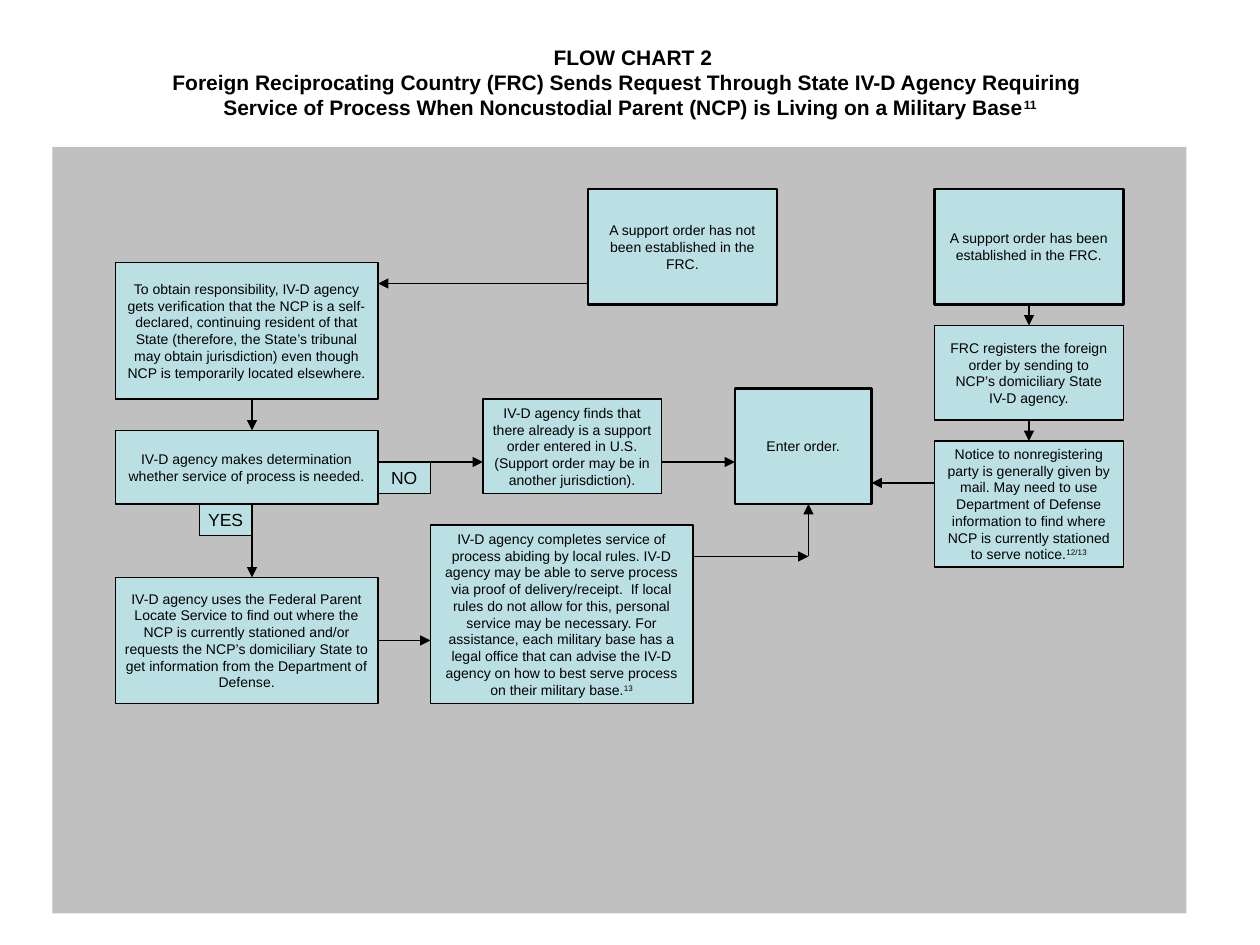
import pptx
import pptx.dml.color
import pptx.enum.shapes
import pptx.enum.text
import pptx.oxml
import pptx.oxml.ns
import pptx.util

RGBColor = pptx.dml.color.RGBColor
BLACK = RGBColor(0x00, 0x00, 0x00)
WHITE = RGBColor(0xFF, 0xFF, 0xFF)
GREY = RGBColor(0xC0, 0xC0, 0xC0)
PALE_TEAL = RGBColor(0xBB, 0xE0, 0xE3)

FONT = "Arial"
EMU_PER_PX = 7620  # 120 px to the inch
THIN, THICK = 0.75, 1.5
TIGHT, NORMAL = 6, 12  # side margins of a box


def px(length):
    return pptx.util.Emu(length * EMU_PER_PX)


def write_text(frame, text, note="", size=8, bold=False, side=NORMAL, wrap=True):
    """Fill a frame with centred text: a newline starts a paragraph, a vertical
    tab breaks the line, and the note follows as superscript."""
    frame.word_wrap = wrap
    frame.vertical_anchor = pptx.enum.text.MSO_ANCHOR.MIDDLE
    frame.margin_left = frame.margin_right = px(side)
    frame.margin_top = frame.margin_bottom = px(6)
    frame.text = text
    if note:
        note_run = frame.paragraphs[-1].add_run()
        note_run.text = note
        note_run._r.get_or_add_rPr().set("baseline", "30000")
    for paragraph in frame.paragraphs:
        paragraph.alignment = pptx.enum.text.PP_ALIGN.CENTER
        for run in paragraph.runs:
            run.font.name = FONT
            run.font.size = pptx.util.Pt(size)
            run.font.bold = bold
            run.font.color.rgb = BLACK


class FlowChart:
    def __init__(self, presentation):
        self.slide = presentation.slides.add_slide(presentation.slide_layouts[5])
        self.slide.background.fill.solid()
        self.slide.background.fill.fore_color.rgb = WHITE

    def title(self, left, top, width, height, text, note):
        title = self.slide.shapes.title
        title.left, title.top = px(left), px(top)
        title.width, title.height = px(width), px(height)
        write_text(title.text_frame, text, note=note, size=12, bold=True)

    def panel(self, left, top, width, height, fill):
        panel = self.slide.shapes.add_shape(
            pptx.enum.shapes.MSO_SHAPE.RECTANGLE,
            px(left), px(top), px(width), px(height))
        panel.shadow.inherit = False
        panel.fill.solid()
        panel.fill.fore_color.rgb = fill
        panel.line.fill.background()
        return panel

    def box(self, left, top, width, height, text, line=THIN, **text_format):
        box = self.panel(left, top, width, height, PALE_TEAL)
        box.line.color.rgb = BLACK
        box.line.width = pptx.util.Pt(line)
        write_text(box.text_frame, text, **text_format)

    def step(self, left, top, width, height, text, note=""):
        self.box(left, top, width, height, text, note=note, side=TIGHT)

    def endpoint(self, left, top, width, height, text):
        self.box(left, top, width, height, text, line=THICK)

    def answer(self, left, top, text):
        self.box(left, top, 50, 30, text, size=10, wrap=False)

    def arrow(self, x1, y1, x2, y2):
        arrow = self.slide.shapes.add_connector(
            pptx.enum.shapes.MSO_CONNECTOR.STRAIGHT, px(x1), px(y1), px(x2), px(y2))
        arrow.line.color.rgb = BLACK
        arrow.line.width = pptx.util.Pt(THIN)
        line = arrow.line._get_or_add_ln()
        line.append(pptx.oxml.parse_xml(
            f'<a:tailEnd {pptx.oxml.ns.nsdecls("a")} type="triangle"/>'))
        arrow._element.spPr.append(pptx.oxml.parse_xml(
            f'<a:effectLst {pptx.oxml.ns.nsdecls("a")}/>'))


def main():
    presentation = pptx.Presentation()
    presentation.slide_width = px(1200)
    presentation.slide_height = px(900)
    chart = FlowChart(presentation)

    chart.title(
        60, 36, 1080, 84,
        " FLOW CHART 2\v"
        "Foreign Reciprocating Country (FRC) Sends Request Through State IV-D Agency Requiring \v"
        "Service of Process When Noncustodial Parent (NCP) is Living on a Military Base",
        note="11")
    chart.panel(50, 140, 1080, 730, GREY)

    chart.endpoint(560, 180, 180, 110,
                   "A support order has not been established in the FRC.")
    chart.endpoint(890, 180, 180, 110,
                   "A support order has been established in the FRC.")
    chart.endpoint(700, 370, 130, 110, "Enter order.")

    chart.step(110, 250, 250, 130,
               "To obtain responsibility, IV-D agency gets verification that the NCP is a "
               "self-declared, continuing resident of that State (therefore, the State’s tribunal\n"
               "may obtain jurisdiction) even though NCP is temporarily located elsewhere.")
    chart.step(110, 410, 250, 70,
               "IV-D agency makes determination whether service of process is needed.")
    chart.step(460, 380, 170, 90,
               "IV-D agency finds that there already is a support order entered in U.S. "
               "(Support order may be in another jurisdiction).")
    chart.step(110, 550, 250, 120,
               "IV-D agency uses the Federal Parent Locate Service to find out where the NCP is "
               "currently stationed and/or requests the NCP’s domiciliary State to get "
               "information from the Department of Defense.")
    chart.step(410, 500, 250, 170,
               "IV-D agency completes service of process abiding by local rules. IV-D agency may "
               "be able to serve process via proof of delivery/receipt.  If local rules do not "
               "allow for this, personal service may be necessary. For assistance, each military "
               "base has a legal office that can advise the IV-D agency on how to best serve "
               "process on their military base.",
               note="13")
    chart.step(890, 310, 180, 90,
               "FRC registers the foreign\norder by sending to\n"
               "NCP’s domiciliary State\nIV-D agency.")
    chart.step(890, 420, 180, 120,
               "Notice to nonregistering party is generally given by mail. May need to use "
               "Department of Defense information to find where NCP is currently stationed to "
               "serve notice.",
               note="12/13")

    chart.answer(360, 440, "NO")
    chart.answer(190, 480, "YES")

    for ends in (
        (560, 270, 360, 270),  # no order yet: verify residence
        (240, 380, 240, 410),  # then decide on service
        (360, 440, 460, 440),  # NO
        (630, 440, 700, 440),
        (240, 480, 240, 550),  # YES
        (360, 610, 410, 610),
        (660, 530, 770, 530),  # service complete, up to the order
        (770, 530, 770, 480),
        (980, 290, 980, 310),  # order exists: register and notify
        (980, 400, 980, 420),
        (890, 460, 830, 460),
    ):
        chart.arrow(*ends)

    presentation.save("out.pptx")


if __name__ == "__main__":
    main()
